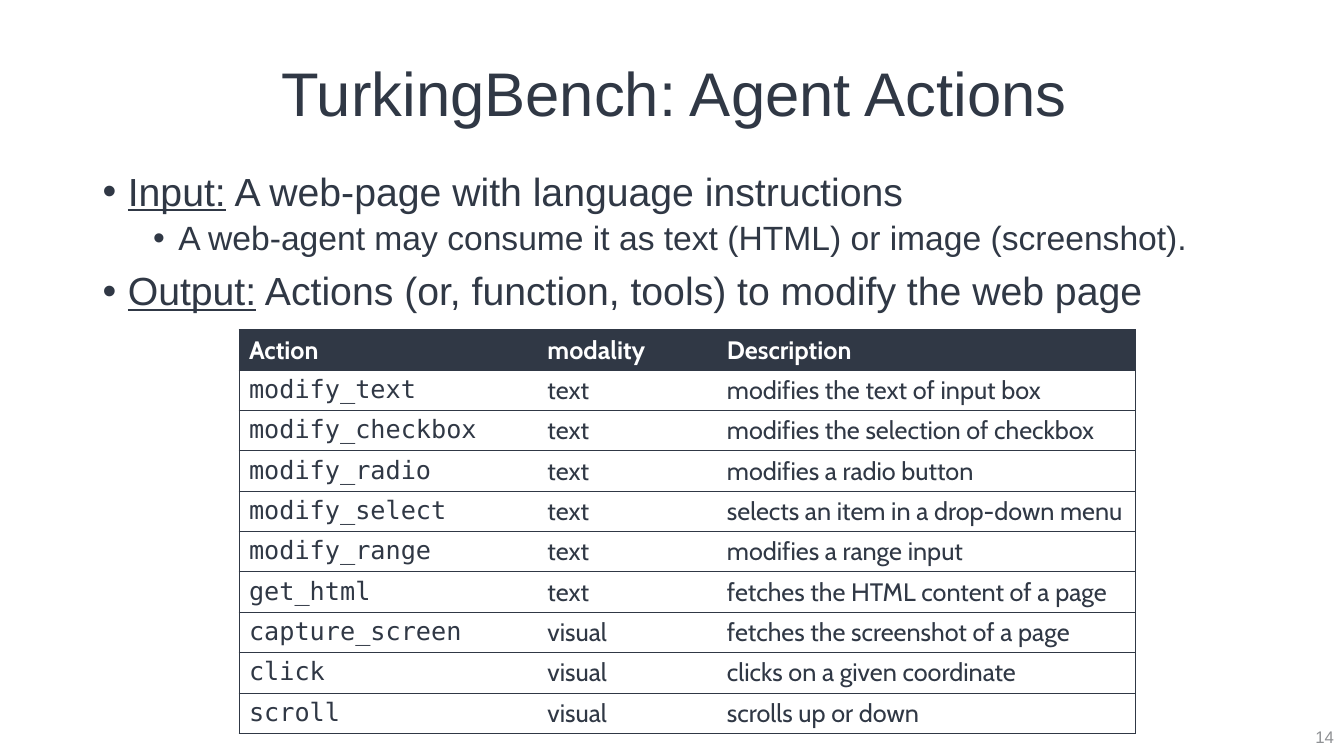
from dataclasses import dataclass

from lxml.etree import SubElement
from pptx import Presentation
from pptx.dml.color import RGBColor
from pptx.enum.text import MSO_ANCHOR, PP_ALIGN
from pptx.oxml.ns import qn
from pptx.util import Inches, Pt

NAVY, WHITE, GRAY = "303845", "FFFFFF", "8F9194"
SANS, TABLE_FONT, MONO = "Arial", "Cabin", "DejaVu Sans Mono"


@dataclass
class Bullet:
    label: str
    text: str
    level: int = 0


@dataclass
class Action:
    name: str
    modality: str
    description: str


BULLETS = [
    Bullet("Input:", " A web-page with language instructions"),
    Bullet("", "A web-agent may consume it as text (HTML) or image (screenshot).", 1),
    Bullet("Output:", " Actions (or, function, tools) to modify the web page"),
]
HEADER = Action("Action", "modality", "Description")
ACTIONS = [
    Action("modify_text", "text", "modifies the text of input box"),
    Action("modify_checkbox", "text", "modifies the selection of checkbox"),
    Action("modify_radio", "text", "modifies a radio button"),
    Action("modify_select", "text", "selects an item in a drop-down menu"),
    Action("modify_range", "text", "modifies a range input"),
    Action("get_html", "text", "fetches the HTML content of a page"),
    Action("capture_screen", "visual", "fetches the screenshot of a page"),
    Action("click", "visual", "clicks on a given coordinate"),
    Action("scroll", "visual", "scrolls up or down"),
]
COLUMN_WIDTHS = (2.96, 1.78, 4.15)
ROW_HEIGHT = 0.4


def rgb(color: str) -> RGBColor:
    return RGBColor.from_string(color)


def add_run(p, text: str, *, size: float = 18, font: str = SANS, color: str = NAVY,
            bold: bool = False, underline: bool = False) -> None:
    r = p.add_run()
    r.text = text
    r.font.size, r.font.name = Pt(size), font
    r.font.bold, r.font.underline = bold, underline
    r.font.color.rgb = rgb(color)


def add_box(s, left: float, top: float, width: float, height: float,
            anchor: MSO_ANCHOR = MSO_ANCHOR.TOP):
    sp = s.shapes.add_textbox(Inches(left), Inches(top), Inches(width), Inches(height))
    tf = sp.text_frame
    tf.word_wrap = True
    tf.vertical_anchor = anchor
    return tf


def format_bullet(p, level: int) -> None:
    pPr = p._p.get_or_add_pPr()
    pPr.set("marL", str(Inches(0.25 + 0.5 * level)))
    pPr.set("indent", str(-Inches(0.25)))
    SubElement(pPr, qn("a:buFont"), typeface=SANS)
    SubElement(pPr, qn("a:buChar"), char="•")
    p.level = level
    p.line_spacing = 0.9


def add_bullets(s, bullets: list[Bullet]) -> None:
    tf = add_box(s, 0.92, 1.66, 11.5, 1.6)
    for i, bullet in enumerate(bullets):
        p = tf.add_paragraph() if i else tf.paragraphs[0]
        format_bullet(p, bullet.level)
        if i:
            p.space_before = Pt(5 if bullet.level else 10)
        size = 24 if bullet.level else 28
        if bullet.label:
            add_run(p, bullet.label, size=size, underline=True)
        add_run(p, bullet.text, size=size)


def set_borders(cell, sides: str) -> None:
    tcPr = cell._tc.get_or_add_tcPr()
    for side in "LRTB":
        ln = SubElement(tcPr, qn(f"a:ln{side}"), w=str(Pt(0.5)))
        if side in sides:
            fill = SubElement(ln, qn("a:solidFill"))
            SubElement(fill, qn("a:srgbClr"), val=NAVY)
        else:
            SubElement(ln, qn("a:noFill"))


def add_action_table(s, rows: list[Action]) -> None:
    frame = s.shapes.add_table(len(rows), len(COLUMN_WIDTHS), Inches(2.37), Inches(3.27),
                               Inches(sum(COLUMN_WIDTHS)), Inches(ROW_HEIGHT * len(rows)))
    table = frame.table
    table.horz_banding = False
    for column, width in zip(table.columns, COLUMN_WIDTHS):
        column.width = Inches(width)
    for i, action in enumerate(rows):
        header = i == 0
        for j, text in enumerate((action.name, action.modality, action.description)):
            cell = table.cell(i, j)
            set_borders(cell, "TB" + ("L", "", "R")[j])
            cell.fill.solid()
            cell.fill.fore_color.rgb = rgb(NAVY if header else WHITE)
            add_run(cell.text_frame.paragraphs[0], text, bold=header,
                    font=MONO if j == 0 and not header else TABLE_FONT,
                    color=WHITE if header else NAVY)


def main() -> None:
    prs = Presentation()
    prs.slide_width, prs.slide_height = Inches(13.33), Inches(7.5)
    s = prs.slides.add_slide(prs.slide_layouts[6])

    # Title
    p = add_box(s, 0.22, 0.41, 12.94, 1.1, MSO_ANCHOR.MIDDLE).paragraphs[0]
    p.alignment, p.line_spacing = PP_ALIGN.CENTER, 0.9
    add_run(p, "TurkingBench: Agent Actions", size=44)

    # Input and output
    add_bullets(s, BULLETS)

    # Slide number
    p = add_box(s, 12.75, 7.11, 0.58, 0.4, MSO_ANCHOR.MIDDLE).paragraphs[0]
    p.alignment = PP_ALIGN.RIGHT
    add_run(p, "14", size=12, color=GRAY)

    # Agent actions
    add_action_table(s, [HEADER, *ACTIONS])

    prs.save("out.pptx")


if __name__ == "__main__":
    main()
